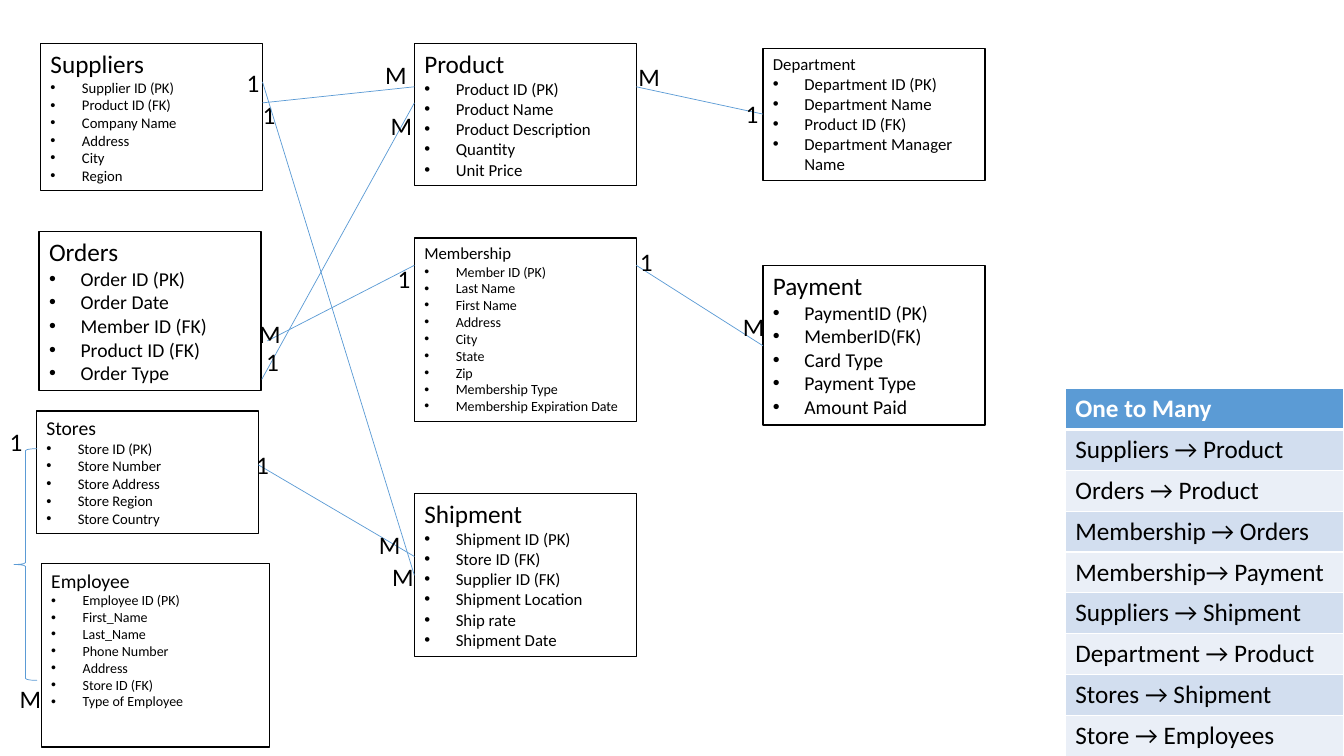
from dataclasses import dataclass

from lxml.etree import SubElement
from pptx import Presentation
from pptx.dml.color import RGBColor
from pptx.enum.shapes import MSO_CONNECTOR, MSO_SHAPE
from pptx.enum.text import MSO_ANCHOR, PP_ALIGN
from pptx.oxml.ns import qn
from pptx.util import Pt


@dataclass(frozen=True)
class Theme:
    font: str = "Calibri"
    ink: str = "000000"
    paper: str = "FFFFFF"
    accent: str = "5B9BD5"
    bands: tuple = ("D2DEEF", "EAEFF7")
    large: float = 18
    medium: float = 14
    normal: float = 12
    small: float = 10.5
    tiny: float = 10
    outline: float = 1
    link: float = 0.5
    header_rule: float = 3
    indent: float = 22.5


class Diagram:
    def __init__(self, page, theme):
        self.page = page
        self.theme = theme

    def style(self, para, size, color, bold=False):
        para.alignment = PP_ALIGN.LEFT
        for span in para.runs:
            span.font.name = self.theme.font
            span.font.size = Pt(size)
            span.font.bold = bold
            span.font.color.rgb = RGBColor.from_string(color)

    def bullet(self, para):
        properties = para._p.get_or_add_pPr()
        properties.set("marL", str(Pt(self.theme.indent)))
        properties.set("indent", str(-Pt(self.theme.indent)))
        SubElement(properties, qn("a:buFont"), typeface="Arial")
        SubElement(properties, qn("a:buChar"), char="•")

    def entity(self, name, fields, box, name_size, field_size):
        shape = self.page.shapes.add_shape(MSO_SHAPE.RECTANGLE, *map(Pt, box))
        shape.shadow.inherit = False
        shape.fill.solid()
        shape.fill.fore_color.rgb = RGBColor.from_string(self.theme.paper)
        shape.line.color.rgb = RGBColor.from_string(self.theme.ink)
        shape.line.width = Pt(self.theme.outline)
        frame = shape.text_frame
        frame.word_wrap = True
        frame.vertical_anchor = MSO_ANCHOR.TOP
        frame.text = "\n".join([name, *fields])
        heading, *items = frame.paragraphs
        self.style(heading, name_size, self.theme.ink)
        for para in items:
            self.style(para, field_size, self.theme.ink)
            self.bullet(para)

    def label(self, text, left, top, width):
        box = self.page.shapes.add_textbox(Pt(left), Pt(top), Pt(width), Pt(29))
        box.text_frame.word_wrap = True
        box.text_frame.text = text
        self.style(box.text_frame.paragraphs[0], self.theme.large, self.theme.ink)

    def link_line(self, shape):
        shape.line.color.rgb = RGBColor.from_string(self.theme.accent)
        shape.line.width = Pt(self.theme.link)

    def link(self, start, end):
        line = self.page.shapes.add_connector(
            MSO_CONNECTOR.STRAIGHT, *map(Pt, (*start, *end)))
        self.link_line(line)
        SubElement(line._element.spPr, qn("a:effectLst"))

    def brace(self, box):
        shape = self.page.shapes.add_shape(MSO_SHAPE.LEFT_BRACE, *map(Pt, box))
        shape.shadow.inherit = False
        shape.fill.background()
        self.link_line(shape)

    def borders(self, cell, bottom, top):
        properties = cell._tc.get_or_add_tcPr()
        thin = self.theme.outline
        for side, width in (("L", thin), ("R", thin), ("T", top), ("B", bottom)):
            line = SubElement(properties, qn(f"a:ln{side}"), w=str(Pt(width)))
            fill = SubElement(line, qn("a:solidFill"))
            SubElement(fill, qn("a:srgbClr"), val=self.theme.paper)

    def table(self, rows, left, top, width, row_height):
        table = self.page.shapes.add_table(
            len(rows), 1, Pt(left), Pt(top), Pt(width),
            Pt(row_height * len(rows))).table
        theme = self.theme
        for index, text in enumerate(rows):
            table.rows[index].height = Pt(row_height)
            cell = table.cell(index, 0)
            header = index == 0
            self.borders(cell,
                         bottom=theme.header_rule if header else theme.outline,
                         top=theme.header_rule if index == 1 else theme.outline)
            cell.fill.solid()
            cell.fill.fore_color.rgb = RGBColor.from_string(
                theme.accent if header else theme.bands[(index - 1) % 2])
            cell.text = text
            self.style(cell.text_frame.paragraphs[0], theme.large,
                       theme.paper if header else theme.ink, header)


theme = Theme()
deck = Presentation()
deck.slide_width, deck.slide_height = Pt(960), Pt(540)
diagram = Diagram(deck.slides.add_slide(deck.slide_layouts[6]), theme)

# Entities: name, fields, box, name size, field size
WIDTH = 158.5
MIDDLE, RIGHT = 296, 545
entities = [
    ("Suppliers", ["Supplier ID (PK)", "Product ID (FK)", "Company Name",
                   "Address", "City", "Region"],
     (29, 31, WIDTH, 105), theme.large, theme.small),
    ("Product", ["Product ID (PK)", "Product Name", "Product Description",
                 "Quantity", "Unit Price"],
     (MIDDLE, 31, WIDTH, 101.5), theme.large, theme.normal),
    ("Shipment", ["Shipment ID (PK)", "Store ID (FK)", "Supplier ID (FK)",
                  "Shipment Location", "Ship rate", "Shipment Date"],
     (MIDDLE, 352.5, WIDTH, 116.5), theme.large, theme.normal),
    ("Stores", ["Store ID (PK)", "Store Number", "Store Address",
                "Store Region", "Store Country"],
     (26, 293.5, WIDTH, 87.5), theme.medium, theme.small),
    ("Orders", ["Order ID (PK)", "Order Date", "Member ID (FK)",
                "Product ID (FK)", "Order Type"],
     (28, 165.5, WIDTH, 113.5), theme.large, theme.medium),
    ("Payment", ["PaymentID (PK)", "MemberID(FK)", "Card Type",
                 "Payment Type", "Amount Paid"],
     (RIGHT, 189.5, WIDTH, 114), theme.large, theme.medium),
    ("Department", ["Department ID (PK)", "Department Name",
                    "Product ID (FK)", "Department Manager Name"],
     (RIGHT, 34.5, WIDTH, 94.5), theme.normal, theme.normal),
    ("Membership", ["Member ID (PK)", "Last Name", "First Name", "Address",
                    "City", "State", "Zip", "Membership Type",
                    "Membership Expiration Date"],
     (MIDDLE, 170, WIDTH, 131), theme.normal, theme.tiny),
    ("Employee", ["Employee ID (PK)", "First_Name", "Last_Name",
                  "Phone Number", "Address", "Store ID (FK)",
                  "Type of Employee"],
     (29.5, 402.5, 163, 131), theme.medium, theme.tiny),
]
for entity in entities:
    diagram.entity(*entity)

# One-to-many summary
diagram.table(
    ["One to Many", "Suppliers → Product", "Orders → Product",
     "Membership → Orders", "Membership→ Payment", "Suppliers → Shipment",
     "Department → Product", "Stores → Shipment", "Store → Employees"],
    761, 277.5, 199, 29.2)

# Relationships: line start, line end, place of "1" with its width, place of "M"
ONE, NARROW, MANY = 15, 8, 19
relationships = [
    ((187.5, 73.5), (MIDDLE, 62), (180.5, 67.5, ONE), (268, 39)),
    ((187, 271), (MIDDLE, 73.5), (183, 243.5, ONE), (272, 75.5)),
    ((MIDDLE, 189.5), (191, 243.5), (277, 184.5, ONE), (178, 224)),
    ((454.5, 189.5), (RIGHT, 247), (450, 172.5, ONE), (523.5, 219)),
    ((187.5, 58.5), (MIDDLE, 411), (169, 44.5, ONE), (273, 397.5)),
    ((RIGHT, 81.5), (454.5, 62), (525.5, 67, ONE), (449, 40)),
    ((184.5, 332), (MIDDLE, 397.5), (182, 317.5, NARROW), (263.5, 374.5)),
]
for start, end, one, many in relationships:
    diagram.link(start, end)
    diagram.label("1", *one)
    diagram.label("M", *many, MANY)

# Stores to employees
diagram.brace((10, 320.5, 16.5, 165.5))
diagram.label("1", 6, 301, NARROW)
diagram.label("M", 7, 484.5, MANY)

deck.save("out.pptx")
